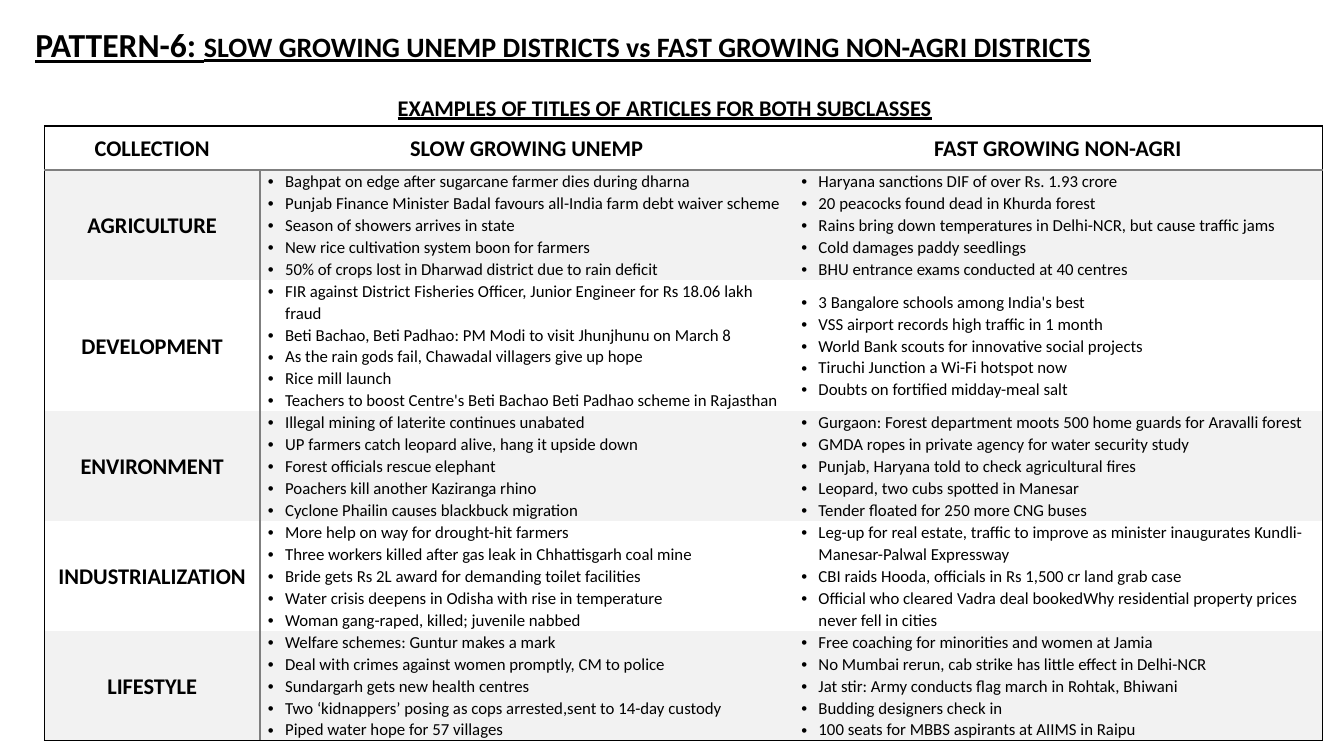
from lxml.etree import SubElement
from pptx import Presentation
from pptx.dml.color import RGBColor
from pptx.enum.text import MSO_ANCHOR, MSO_AUTO_SIZE, PP_ALIGN
from pptx.oxml.ns import qn
from pptx.util import Pt

BLACK = RGBColor(0x00, 0x00, 0x00)
GREY = RGBColor(0x7F, 0x7F, 0x7F)
BAND = RGBColor(0xF2, 0xF2, 0xF2)
WHITE = RGBColor(0xFF, 0xFF, 0xFF)

LINE_SPACING = 1.07
COLUMN_WIDTHS = [154, 381, 378]
ROW_HEIGHTS = [31.5, 78.4, 94, 78.4, 78.4, 78.4]

HEADINGS = ["COLLECTION", "SLOW GROWING UNEMP", "FAST GROWING NON-AGRI"]
COLLECTIONS = [
    ("AGRICULTURE",
     ["Baghpat on edge after sugarcane farmer dies during dharna",
      "Punjab Finance Minister Badal favours all-India farm debt waiver scheme",
      "Season of showers arrives in state",
      "New rice cultivation system boon for farmers",
      "50% of crops lost in Dharwad district due to rain deficit"],
     ["Haryana sanctions DIF of over Rs. 1.93 crore",
      "20 peacocks found dead in Khurda forest",
      "Rains bring down temperatures in Delhi-NCR, but cause traffic jams",
      "Cold damages paddy seedlings",
      "BHU entrance exams conducted at 40 centres"]),
    ("DEVELOPMENT",
     ["FIR against District Fisheries Officer, Junior Engineer for Rs 18.06 lakh fraud",
      "Beti Bachao, Beti Padhao: PM Modi to visit Jhunjhunu on March 8",
      "As the rain gods fail, Chawadal villagers give up hope",
      "Rice mill launch",
      "Teachers to boost Centre's Beti Bachao Beti Padhao scheme in Rajasthan"],
     ["3 Bangalore schools among India's best",
      "VSS airport records high traffic in 1 month",
      "World Bank scouts for innovative social projects",
      "Tiruchi Junction a Wi-Fi hotspot now",
      "Doubts on fortified midday-meal salt"]),
    ("ENVIRONMENT",
     ["Illegal mining of laterite continues unabated",
      "UP farmers catch leopard alive, hang it upside down",
      "Forest officials rescue elephant",
      "Poachers kill another Kaziranga rhino",
      "Cyclone Phailin causes blackbuck migration"],
     ["Gurgaon: Forest department moots 500 home guards for Aravalli forest",
      "GMDA ropes in private agency for water security study",
      "Punjab, Haryana told to check agricultural fires",
      "Leopard, two cubs spotted in Manesar",
      "Tender floated for 250 more CNG buses"]),
    ("INDUSTRIALIZATION",
     ["More help on way for drought-hit farmers",
      "Three workers killed after gas leak in Chhattisgarh coal mine",
      "Bride gets Rs 2L award for demanding toilet facilities",
      "Water crisis deepens in Odisha with rise in temperature",
      "Woman gang-raped, killed; juvenile nabbed"],
     ["Leg-up for real estate, traffic to improve as minister inaugurates "
      "Kundli-Manesar-Palwal Expressway",
      "CBI raids Hooda, officials in Rs 1,500 cr land grab case",
      "Official who cleared Vadra deal bookedWhy residential property prices "
      "never fell in cities"]),
    ("LIFESTYLE",
     ["Welfare schemes: Guntur makes a mark",
      "Deal with crimes against women promptly, CM to police",
      "Sundargarh gets new health centres",
      "Two ‘kidnappers’ posing as cops arrested,sent to 14-day custody",
      "Piped water hope for 57 villages"],
     ["Free coaching for minorities and women at Jamia",
      "No Mumbai rerun, cab strike has little effect in Delhi-NCR",
      "Jat stir: Army conducts flag march in Rohtak, Bhiwani",
      "Budding designers check in",
      "100 seats for MBBS aspirants at AIIMS in Raipu"]),
]


def add_text(paragraph, text, size=16, bold=True, underline=False,
             align=PP_ALIGN.LEFT, spacing=1.0, bullet=False):
    """Append a formatted run to a paragraph."""
    paragraph.alignment = align
    paragraph.line_spacing = spacing
    run = paragraph.add_run()
    run.text = text
    font = run.font
    font.name = "Calibri"
    font.size = Pt(size)
    font.bold = bold
    font.underline = underline
    font.color.rgb = BLACK
    if bullet:
        properties = paragraph._p.get_or_add_pPr()
        properties.set("marL", str(Pt(13)))
        properties.set("indent", str(-Pt(12.25)))
        SubElement(properties, qn("a:buFont"), typeface="Arial")
        SubElement(properties, qn("a:buChar"), char="•")


def add_title(slide, left, top, width, height):
    title = slide.shapes.title
    title.left, title.top, title.width, title.height = map(Pt, (left, top, width, height))
    frame = title.text_frame
    frame.word_wrap = True
    frame.auto_size = MSO_AUTO_SIZE.NONE
    frame.vertical_anchor = MSO_ANCHOR.TOP
    paragraph = frame.paragraphs[0]
    add_text(paragraph, "PATTERN-6: ", size=24, underline=True)
    add_text(paragraph, "SLOW GROWING UNEMP DISTRICTS vs FAST GROWING NON-AGRI DISTRICTS",
             size=20, underline=True)


def add_caption(slide, left, top, width, height):
    caption = slide.shapes.add_textbox(*map(Pt, (left, top, width, height)))
    caption.text_frame.word_wrap = True
    add_text(caption.text_frame.paragraphs[0],
             "EXAMPLES OF TITLES OF ARTICLES FOR BOTH SUBCLASSES", underline=True)


def set_borders(cell, **colors):
    """Draw the left, right, top and bottom edges; None leaves an edge empty."""
    properties = cell._tc.get_or_add_tcPr()
    for side in ("left", "right", "top", "bottom"):
        line = SubElement(properties, qn("a:ln" + side[0].upper()), w=str(Pt(1)))
        color = colors[side]
        if color is None:
            SubElement(line, qn("a:noFill"))
        else:
            fill = SubElement(line, qn("a:solidFill"))
            SubElement(fill, qn("a:srgbClr"), val=str(color))


def fill_cell(cell, lines, color, **text_format):
    cell.fill.solid()
    cell.fill.fore_color.rgb = color
    cell.vertical_anchor = MSO_ANCHOR.MIDDLE
    cell.margin_left = cell.margin_right = Pt(5)
    cell.margin_top = cell.margin_bottom = 0
    frame = cell.text_frame
    for index, line in enumerate(lines):
        paragraph = frame.add_paragraph() if index else frame.paragraphs[0]
        add_text(paragraph, line, spacing=LINE_SPACING, **text_format)


def add_articles_table(slide, left, top):
    rows = [[[heading] for heading in HEADINGS]]
    rows += [[[name], slow, fast] for name, slow, fast in COLLECTIONS]
    last_row, last_column = len(rows) - 1, len(HEADINGS) - 1
    table = slide.shapes.add_table(
        len(rows), len(HEADINGS), Pt(left), Pt(top),
        Pt(sum(COLUMN_WIDTHS)), Pt(sum(ROW_HEIGHTS))).table
    table.first_row = table.horz_banding = False
    for column, width in zip(table.columns, COLUMN_WIDTHS):
        column.width = Pt(width)

    for r, contents in enumerate(rows):
        table.rows[r].height = Pt(ROW_HEIGHTS[r])
        for c, lines in enumerate(contents):
            cell = table.cell(r, c)
            # Black frame, grey rules under the headings and beside the names
            divider = GREY if r > 0 else None
            set_borders(
                cell,
                left=BLACK if c == 0 else divider if c == 1 else None,
                right=BLACK if c == last_column else divider if c == 0 else None,
                top=BLACK if r == 0 else GREY if r == 1 else None,
                bottom=BLACK if r == last_row else GREY if r == 0 else None)
            color = BAND if r % 2 else WHITE
            if r == 0 or c == 0:
                fill_cell(cell, lines, color, align=PP_ALIGN.CENTER)
            else:
                fill_cell(cell, lines, color, size=12, bold=False, bullet=True)


def main():
    presentation = Presentation()
    presentation.slide_width, presentation.slide_height = Pt(960), Pt(540)
    slide = presentation.slides.add_slide(presentation.slide_layouts[5])
    add_title(slide, 18, 13.7, 846, 36)
    add_articles_table(slide, 31.7, 90)
    add_caption(slide, 277, 63.4, 406, 26.6)
    presentation.save("out.pptx")


if __name__ == "__main__":
    main()
